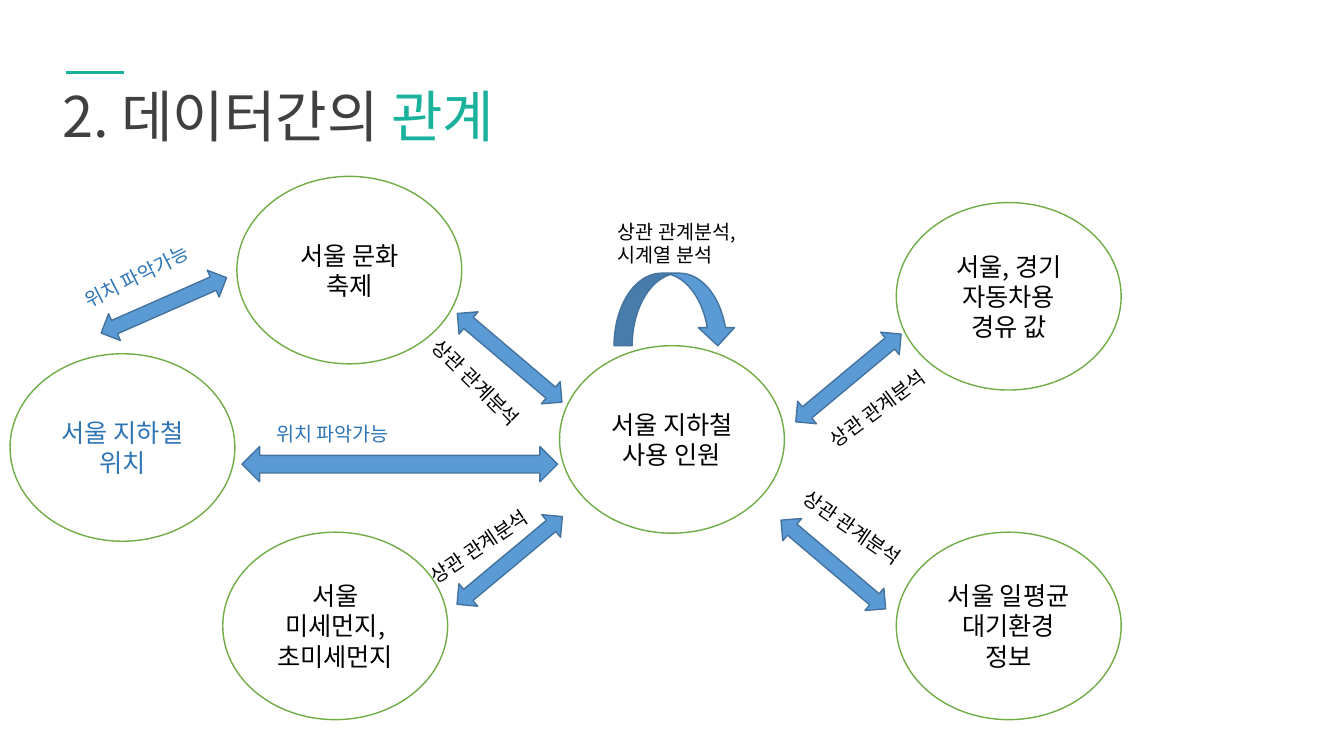
from dataclasses import dataclass

import lxml.etree
import pptx
import pptx.dml.color
import pptx.enum.shapes
import pptx.enum.text
import pptx.oxml.ns
import pptx.util

Inches = pptx.util.Inches
Shape = pptx.enum.shapes.MSO_SHAPE
Align = pptx.enum.text.PP_ALIGN
Anchor = pptx.enum.text.MSO_ANCHOR


@dataclass(frozen=True)
class Theme:
    font: str = "Noto Sans CJK KR"
    title: str = "404040"
    accent: str = "1AB29D"
    ink: str = "000000"
    location: str = "2E75B6"
    node_fill: str = "FFFFFF"
    node_line: str = "70AD47"
    arrow_fill: str = "5B9BD5"
    arrow_line: str = "43739E"
    title_size: int = 40
    node_size: int = 18
    label_size: int = 14


@dataclass(frozen=True)
class Box:
    left: float
    top: float
    width: float
    height: float

    def inner(self, left, top, width, height):
        return Box(self.left + left, self.top + top, width, height)

    def lengths(self):
        return [Inches(n) for n in (self.left, self.top, self.width, self.height)]


THEME = Theme()
NODE_SIZE = (2.23, 1.86)
LINK_SIZE = (0.29, 1.36)
LABEL_SIZE = (1.47, 0.34)

NODES = [
    ("서울 지하철 사용 인원", 5.45, 1.68, THEME.ink),
    ("서울 일평균 대기환경 정보", 8.79, 3.53, THEME.ink),
    ("서울 미세먼지, 초미세먼지", 2.11, 3.53, THEME.ink),
    ("서울, 경기 자동차용 경유 값", 8.79, 0.26, THEME.ink),
    ("서울 문화 축제", 2.25, 0, THEME.ink),
    ("서울 지하철 위치", 0, 1.76, THEME.location),
]
LINKS = [
    (4.81, 1.12, *LINK_SIZE, 310.3),
    (8.02, 3.17, *LINK_SIZE, 310.3),
    (8.17, 1.32, *LINK_SIZE, 50.2),
    (4.81, 3.13, *LINK_SIZE, 50.2),
    (1.38, 0.6, *LINK_SIZE, 66.2),
    (3.69, 1.29, 0.35, 3.13, 90),
]
CORRELATION = "상관 관계분석"
LOCATABLE = "위치 파악가능"
LABELS = [
    ([CORRELATION], 3.94, 1.93, 44.8, THEME.ink),
    ([CORRELATION], 3.98, 3.46, 325.9, THEME.ink),
    ([CORRELATION], 7.68, 3.36, 34.5, THEME.ink),
    ([CORRELATION], 7.93, 2.09, 323, THEME.ink),
    ([CORRELATION + ",", "시계열 분석"], 5.93, 0.38, 0, THEME.ink),
    ([LOCATABLE], 0.59, 0.79, 333.1, THEME.location),
    ([LOCATABLE], 2.54, 2.39, 0, THEME.location),
]


def rgb(value):
    return pptx.dml.color.RGBColor.from_string(value)


def add_text(paragraph, text, *, size, color, align=Align.LEFT):
    paragraph.alignment = align
    run = paragraph.add_run()
    run.text = text
    run.font.name = THEME.font
    run.font.size = pptx.util.Pt(size)
    run.font.color.rgb = rgb(color)
    east_asian = lxml.etree.SubElement(
        run._r.get_or_add_rPr(), pptx.oxml.ns.qn("a:ea"))
    east_asian.set("typeface", THEME.font)


def add_outlined(slide, preset, box, fill, line):
    shape = slide.shapes.add_shape(preset, *box.lengths())
    shape.shadow.inherit = False
    shape.fill.solid()
    shape.fill.fore_color.rgb = rgb(fill)
    shape.line.color.rgb = rgb(line)
    shape.line.width = pptx.util.Pt(1)
    return shape


def add_node(slide, box, text, color):
    node = add_outlined(slide, Shape.OVAL, box, THEME.node_fill, THEME.node_line)
    frame = node.text_frame
    frame.word_wrap = True
    frame.vertical_anchor = Anchor.MIDDLE
    add_text(frame.paragraphs[0], text, size=THEME.node_size, color=color,
             align=Align.CENTER)


def add_link(slide, box, angle):
    link = add_outlined(slide, Shape.UP_DOWN_ARROW, box,
                        THEME.arrow_fill, THEME.arrow_line)
    link.adjustments[0] = 0.44
    link.adjustments[1] = 0.5
    link.rotation = angle


def add_label(slide, box, lines, angle, color):
    label = slide.shapes.add_textbox(*box.lengths())
    label.rotation = angle
    frame = label.text_frame
    frame.word_wrap = True
    for index, line in enumerate(lines):
        paragraph = frame.add_paragraph() if index else frame.paragraphs[0]
        add_text(paragraph, line, size=THEME.label_size, color=color)


def add_title(slide, box):
    heading = slide.shapes.add_textbox(*box.inner(0, 0.04, 4.72, 0.77).lengths())
    heading.text_frame.word_wrap = False
    paragraph = heading.text_frame.paragraphs[0]
    for text, color in (("2. 데이터간의 ", THEME.title), ("관계", THEME.accent)):
        add_text(paragraph, text, size=THEME.title_size, color=color)

    accent = slide.shapes.add_connector(
        pptx.enum.shapes.MSO_CONNECTOR.STRAIGHT,
        Inches(box.left + 0.71), Inches(box.top),
        Inches(box.left + 0.13), Inches(box.top))
    accent.line.color.rgb = rgb(THEME.accent)
    accent.line.width = pptx.util.Pt(2)
    lxml.etree.SubElement(accent._element.spPr, pptx.oxml.ns.qn("a:effectLst"))


def add_relations(slide, box):
    for text, left, top, color in NODES:
        add_node(slide, box.inner(left, top, *NODE_SIZE), text, color)
    add_outlined(slide, Shape.CURVED_DOWN_ARROW, box.inner(5.99, 0.96, 1.21, 0.72),
                 THEME.arrow_fill, THEME.arrow_line)
    for left, top, width, height, angle in LINKS:
        add_link(slide, box.inner(left, top, width, height), angle)
    for lines, left, top, angle, color in LABELS:
        width, height = LABEL_SIZE
        height += 0.23 * (len(lines) - 1)
        add_label(slide, box.inner(left, top, width, height), lines, angle, color)


def main():
    deck = pptx.Presentation()
    deck.slide_width = Inches(13.33)
    deck.slide_height = Inches(7.5)
    slide = deck.slides.add_slide(deck.slide_layouts[6])
    add_title(slide, Box(0.52, 0.72, 4.72, 0.81))
    add_relations(slide, Box(0.1, 1.75, 11.02, 5.39))
    deck.save("out.pptx")


if __name__ == "__main__":
    main()
